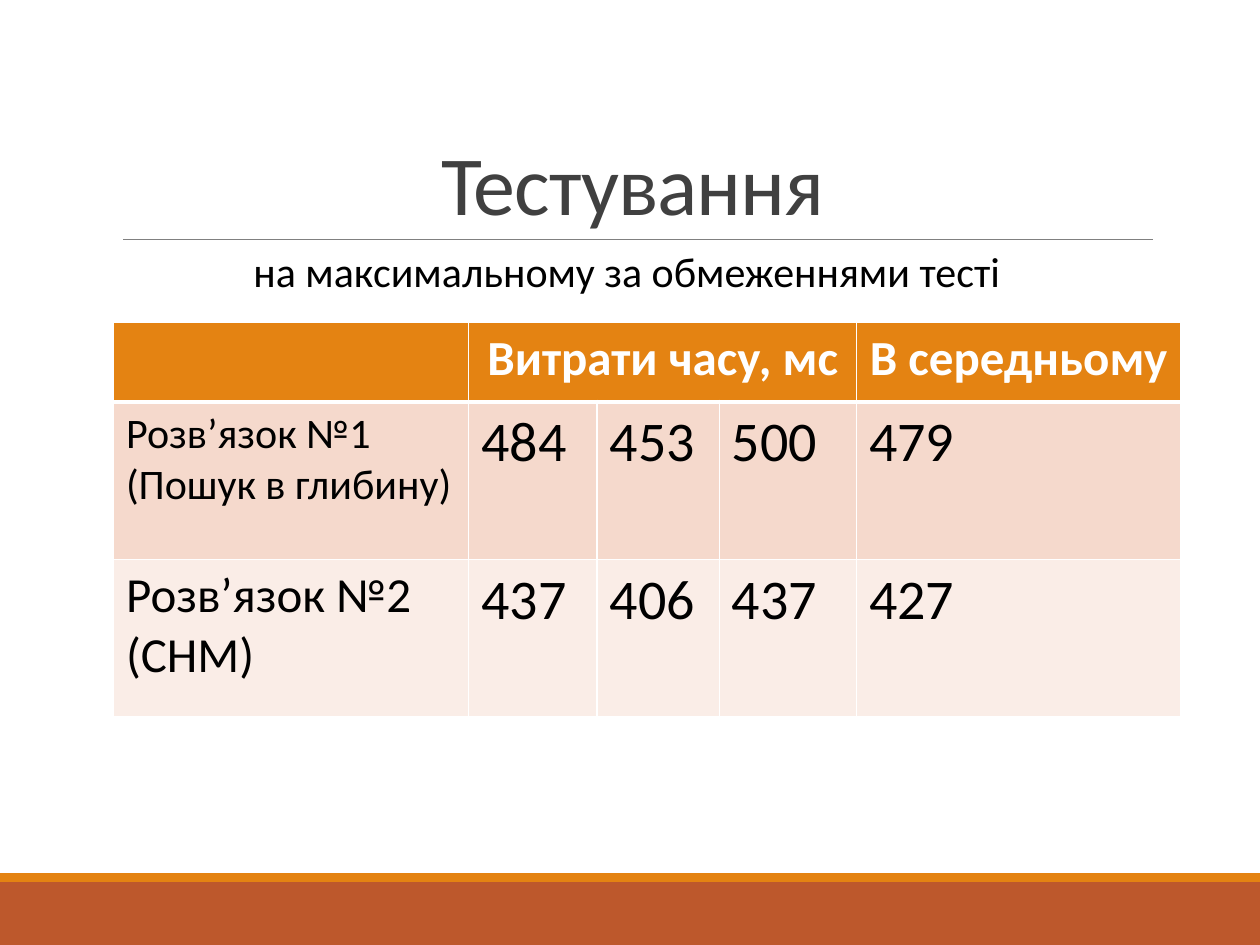
"""Build the slide that compares running times of two solutions."""
import lxml.etree
import pptx
import pptx.dml.color
import pptx.enum.shapes
import pptx.enum.text
import pptx.oxml.ns
import pptx.util

Inches = pptx.util.Inches
Pt = pptx.util.Pt
ALIGN = pptx.enum.text.PP_ALIGN
qn = pptx.oxml.ns.qn

COLORS = {
    "rust": "BD582C", "orange": "E48312", "rule": "808080", "title": "404040",
    "text": "000000", "white": "FFFFFF", "band_dark": "F5D9CC", "band_light": "FAEDE7",
}
TITLE = "Тестування"
SUBTITLE = "на максимальному за обмеженнями тесті"
HEADERS = {1: "Витрати часу, мс", 4: "В середньому"}
SOLUTIONS = [
    {"label": "Розв’язок №1 (Пошук в глибину)", "size": 24, "fill": "band_dark",
     "times": (484, 453, 500, 479)},
    {"label": "Розв’язок №2\n(СНМ)", "size": 28, "fill": "band_light",
     "times": (437, 406, 437, 427)},
]
BARS = [("rust", 7, 0.5), ("orange", 6.93, 0.07)]
COLUMN_WIDTHS = [2.82, 1.02, 0.97, 1.09, 2.57]
ROW_HEIGHTS = [0.63, 1.25, 1.25]


def rgb(name):
    return pptx.dml.color.RGBColor.from_string(COLORS[name])


def write(frame, text, size=24, color="text", bold=False, align=ALIGN.LEFT,
          line_spacing=None, tracking=None):
    frame.text = text
    for paragraph in frame.paragraphs:
        paragraph.alignment = align
        paragraph.line_spacing = line_spacing
        for run in paragraph.runs:
            run.font.name = "Calibri"
            run.font.size = Pt(size)
            run.font.bold = bold
            run.font.color.rgb = rgb(color)
            if tracking is not None:
                run.font._element.set("spc", str(round(tracking * 100)))


def style_cell(cell, fill, bottom=1):
    properties = cell._tc.get_or_add_tcPr()
    for side, width in (("L", 1), ("R", 1), ("T", 1), ("B", bottom)):
        line = lxml.etree.SubElement(properties, qn("a:ln" + side), w=str(Pt(width)))
        solid = lxml.etree.SubElement(line, qn("a:solidFill"))
        lxml.etree.SubElement(solid, qn("a:srgbClr"), val=COLORS["white"])
    cell.fill.solid()
    cell.fill.fore_color.rgb = rgb(fill)


def add_background(slide):
    for color, top, height in BARS:
        bar = slide.shapes.add_shape(pptx.enum.shapes.MSO_SHAPE.RECTANGLE,
                                     0, Inches(top), Inches(10), Inches(height))
        bar.shadow.inherit = False
        bar.fill.solid()
        bar.fill.fore_color.rgb = rgb(color)
        bar.line.fill.background()
    rule = slide.shapes.add_connector(pptx.enum.shapes.MSO_CONNECTOR.STRAIGHT,
                                      Inches(0.98), Inches(1.9), Inches(9.15), Inches(1.9))
    rule.line.color.rgb = rgb("rule")
    rule.line.width = Pt(0.5)
    lxml.etree.SubElement(rule._element.spPr, qn("a:effectLst"))


def add_headings(slide):
    title = slide.shapes.title
    title.left, title.top = Inches(0.9), Inches(0.31)
    title.width, title.height = Inches(8.25), Inches(1.59)
    title.text_frame.vertical_anchor = pptx.enum.text.MSO_ANCHOR.BOTTOM
    write(title.text_frame, TITLE, size=48, color="title", align=ALIGN.CENTER,
          line_spacing=0.85, tracking=-0.5)
    subtitle = slide.shapes.add_textbox(Inches(1.57), Inches(1.9), Inches(6.81), Inches(0.5))
    subtitle.text_frame.word_wrap = True
    subtitle.text_frame.auto_size = pptx.enum.text.MSO_AUTO_SIZE.SHAPE_TO_FIT_TEXT
    write(subtitle.text_frame, SUBTITLE, align=ALIGN.CENTER)


def add_results(slide):
    table = slide.shapes.add_table(
        len(ROW_HEIGHTS), len(COLUMN_WIDTHS), Inches(0.9), Inches(2.56),
        Inches(sum(COLUMN_WIDTHS)), Inches(sum(ROW_HEIGHTS))).table
    for column, width in zip(table.columns, COLUMN_WIDTHS):
        column.width = Inches(width)
    for row, height in zip(table.rows, ROW_HEIGHTS):
        row.height = Inches(height)
    for cell in table.rows[0].cells:
        style_cell(cell, "orange", bottom=3)
    table.cell(0, 1).merge(table.cell(0, 3))
    for index, text in HEADERS.items():
        write(table.cell(0, index).text_frame, text, size=28, color="white",
              bold=True, align=ALIGN.CENTER)
    for row, solution in zip(list(table.rows)[1:], SOLUTIONS):
        label, *values = row.cells
        for cell in row.cells:
            style_cell(cell, solution["fill"])
        write(label.text_frame, solution["label"], size=solution["size"])
        for cell, time in zip(values, solution["times"]):
            write(cell.text_frame, str(time), size=32)


def main():
    presentation = pptx.Presentation()
    presentation.slide_width, presentation.slide_height = Inches(10), Inches(7.5)
    slide = presentation.slides.add_slide(presentation.slide_layouts[5])
    add_background(slide)
    add_headings(slide)
    add_results(slide)
    presentation.save("out.pptx")


if __name__ == "__main__":
    main()
